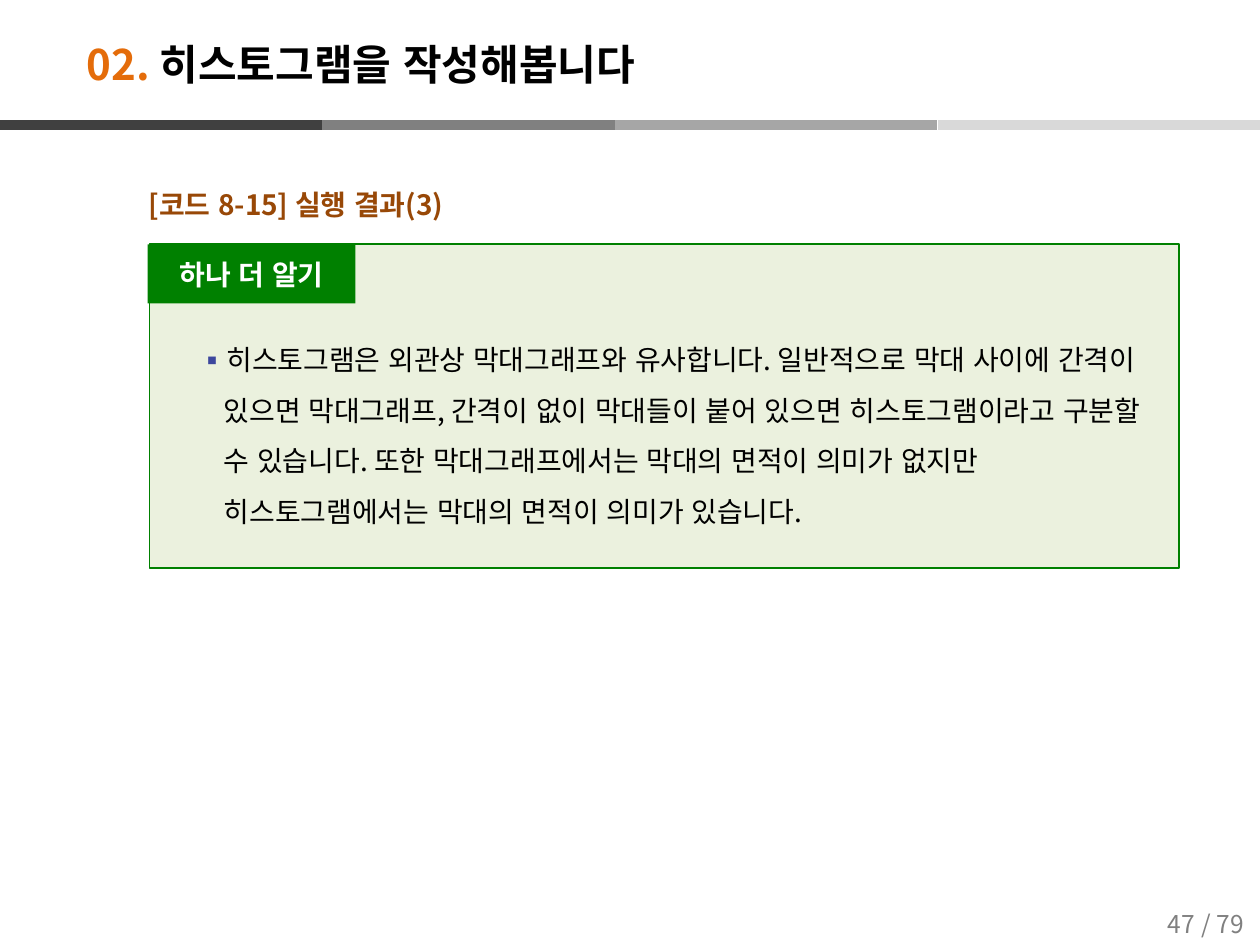
from dataclasses import dataclass

import pptx
import pptx.util
from lxml import etree
from pptx.dml.color import RGBColor
from pptx.enum.shapes import MSO_CONNECTOR, MSO_SHAPE
from pptx.enum.text import MSO_ANCHOR, PP_ALIGN
from pptx.oxml.ns import qn

Pt = pptx.util.Pt

FONT = "Noto Sans CJK KR"
BLACK = RGBColor(0x00, 0x00, 0x00)
WHITE = RGBColor(0xFF, 0xFF, 0xFF)
GRAY = RGBColor(0x80, 0x80, 0x80)
ORANGE = RGBColor(0xE4, 0x6C, 0x0A)
BROWN = RGBColor(0x98, 0x48, 0x07)
GREEN = RGBColor(0x00, 0x80, 0x00)
PALE_GREEN = RGBColor(0xEB, 0xF1, 0xDE)
BULLET_BLUE = RGBColor(0x3C, 0x47, 0x9D)

RULE_Y = 71.3
RULE_WIDTH = 184.3


@dataclass(frozen=True)
class Box:
    left: float
    top: float
    width: float
    height: float

    def lengths(self) -> tuple:
        return Pt(self.left), Pt(self.top), Pt(self.width), Pt(self.height)


@dataclass(frozen=True)
class RuleSegment:
    left: float
    color: RGBColor


RULE = (
    RuleSegment(167, GRAY),
    RuleSegment(351.4, RGBColor(0xA6, 0xA6, 0xA6)),
    RuleSegment(535.8, RGBColor(0xD9, 0xD9, 0xD9)),
    RuleSegment(0, RGBColor(0x40, 0x40, 0x40)),
)


def add_segment(s, segment: RuleSegment) -> None:
    sp = s.shapes.add_connector(
        MSO_CONNECTOR.STRAIGHT, Pt(segment.left), Pt(RULE_Y),
        Pt(segment.left + RULE_WIDTH), Pt(RULE_Y))
    sp.line.color.rgb = segment.color
    sp.line.width = Pt(6)
    etree.SubElement(sp._element.spPr, qn("a:effectLst"))


def add_rect(s, box: Box, fill: RGBColor, line: RGBColor | None = None):
    sp = s.shapes.add_shape(MSO_SHAPE.RECTANGLE, *box.lengths())
    sp.shadow.inherit = False
    sp.fill.solid()
    sp.fill.fore_color.rgb = fill
    if line is None:
        sp.line.fill.background()
    else:
        sp.line.color.rgb = line
        sp.line.width = Pt(1)
    return sp


def add_bullet(p, char: str, color: RGBColor) -> None:
    pPr = p._p.get_or_add_pPr()
    clr = etree.SubElement(pPr, qn("a:buClr"))
    etree.SubElement(clr, qn("a:srgbClr"), val=str(color))
    etree.SubElement(pPr, qn("a:buFont"), typeface=FONT)
    etree.SubElement(pPr, qn("a:buChar"), char=char)


def write(sp, *parts: tuple[str, RGBColor], size: float = 16, bold: bool = False,
          align=PP_ALIGN.LEFT, anchor=MSO_ANCHOR.MIDDLE, margin: float = 0,
          indent: float = 0, spacing: float = 1, before: float = 0,
          after: float = 0, bullet: str | None = None) -> None:
    """Fill a shape with one paragraph made of (text, colour) parts."""
    tf = sp.text_frame
    tf.word_wrap = True
    tf.vertical_anchor = anchor
    p = tf.paragraphs[0]
    p.alignment = align
    p.line_spacing = spacing
    p.space_before = Pt(before)
    p.space_after = Pt(after)
    pPr = p._p.get_or_add_pPr()
    pPr.set("marL", str(Pt(margin)))
    pPr.set("indent", str(Pt(indent)))
    if bullet:
        add_bullet(p, bullet, BULLET_BLUE)
    for text, color in parts:
        r = p.add_run()
        r.text = text
        r.font.size = Pt(size)
        r.font.bold = bold
        r.font.name = FONT
        r.font.color.rgb = color
        rPr = r._r.get_or_add_rPr()
        rPr.set("lang", "ko-KR")
        rPr.set("kern", "0")
        etree.SubElement(rPr, qn("a:ea"), typeface=FONT)


def add_text(s, box: Box, *parts: tuple[str, RGBColor], **fmt) -> None:
    write(s.shapes.add_textbox(*box.lengths()), *parts, **fmt)


def main() -> None:
    prs = pptx.Presentation()
    prs.slide_width, prs.slide_height = Pt(720), Pt(540)
    s = prs.slides.add_slide(prs.slide_layouts[6])

    for segment in RULE:
        add_segment(s, segment)
    for left, text in ((673.2, "/ 79"), (649.4, "47")):
        add_text(s, Box(left, 514, 51, 28), (text, GRAY), size=14,
                 align=PP_ALIGN.CENTER)

    add_text(s, Box(42.5, 14.8, 629, 43.2), ("02. ", ORANGE),
             ("히스토그램을 작성해봅니다", BLACK), size=24, bold=True)

    flow = dict(anchor=MSO_ANCHOR.TOP, margin=35.3, spacing=1.5, before=3, after=3)
    add_text(s, Box(42.5, 94.3, 635, 431), ("[코드 8-15] 실행 결과(3)", BROWN),
             bold=True, **flow)

    add_rect(s, Box(85.5, 139.5, 588.2, 185.2), PALE_GREEN, GREEN)
    add_text(s, Box(85.5, 182.9, 582.5, 136),
             ("히스토그램은 외관상 막대그래프와 유사합니다. 일반적으로 막대 사이에 간격이 "
              "있으면 막대그래프, 간격이 없이 막대들이 붙어 있으면 히스토그램이라고 구분할 "
              "수 있습니다. 또한 막대그래프에서는 막대의 면적이 의미가 없지만 "
              "히스토그램에서는 막대의 면적이 의미가 있습니다.", BLACK),
             indent=-14.4, bullet="▪", **flow)
    tab = add_rect(s, Box(84.3, 139.7, 118.8, 33.8), GREEN)
    write(tab, ("하나 더 알기", WHITE), bold=True, align=PP_ALIGN.CENTER)

    prs.save("out.pptx")


if __name__ == "__main__":
    main()
